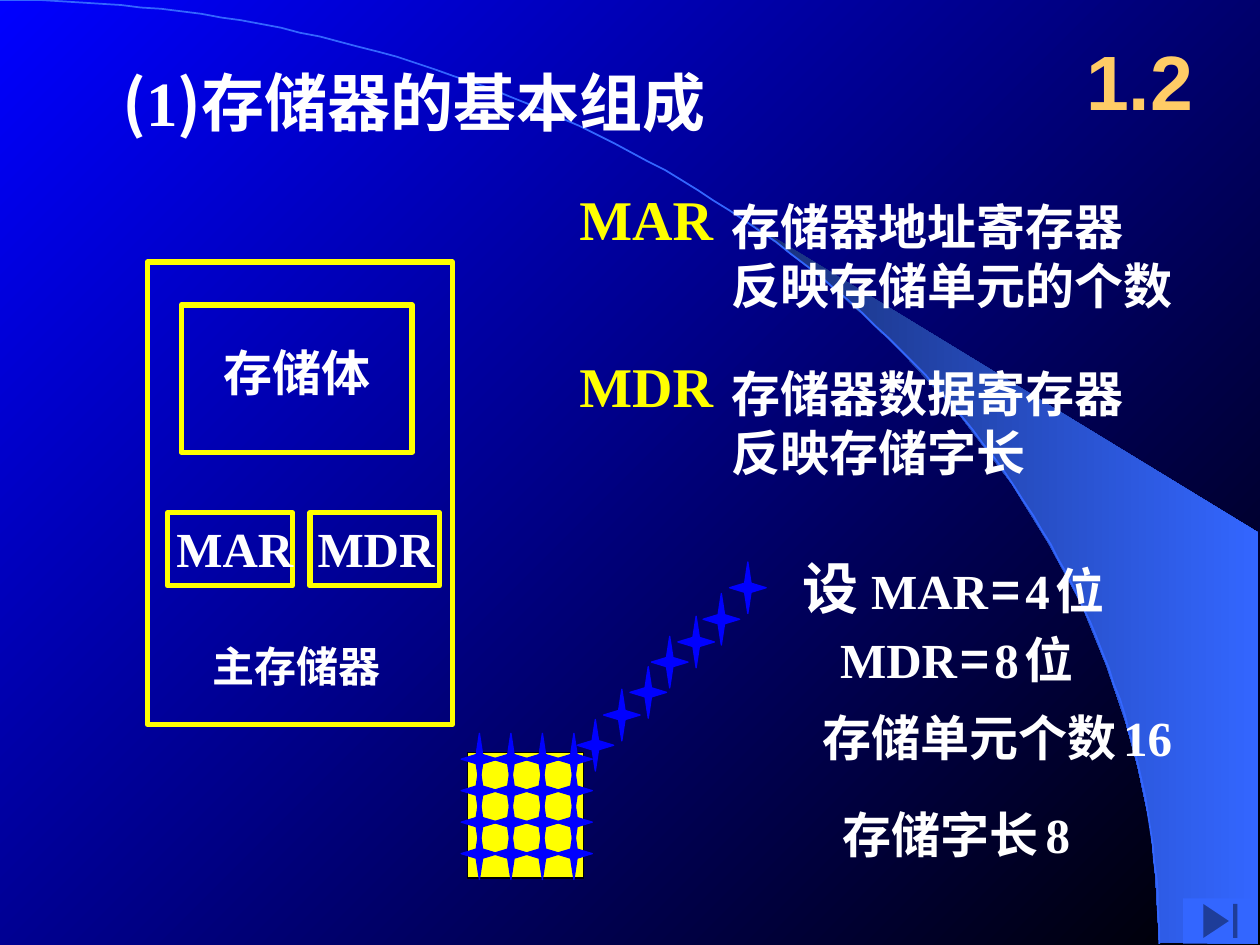
from math import cos, pi, sin

from lxml import etree
from pptx import Presentation
from pptx.dml.color import RGBColor
from pptx.enum import shapes, text
from pptx.oxml import ns
from pptx.util import Emu, Pt

PX = 9144
BLUE = RGBColor(0x00, 0x00, 0xFF)
BLACK = RGBColor(0x00, 0x00, 0x00)
NAVY = RGBColor(0x18, 0x2F, 0x76)
AZURE = RGBColor(0x33, 0x66, 0xFF)
YELLOW = RGBColor(0xFF, 0xFF, 0x00)
AMBER = RGBColor(0xFF, 0xCC, 0x66)
WHITE = RGBColor(0xFF, 0xFF, 0xFF)
HAN = "Noto Sans CJK SC"
ROMAN = "Times New Roman"
KIND = shapes.MSO_SHAPE


def px(*lengths):
    """Turn whole px lengths into EMU."""
    return [Emu(length * PX) for length in lengths]


def set_gradient(fill, start, end, angle):
    """Apply a two-colour linear gradient."""
    fill.gradient()
    fill.gradient_angle = angle
    for stop, color in zip(fill.gradient_stops, (start, end)):
        stop.color.rgb = color


def add_runs(paragraph, runs, color):
    """Add bold runs given as (wording, size, font)."""
    for wording, size, face in runs:
        run = paragraph.add_run()
        run.text = wording
        font = run.font
        font.size, font.bold, font.name = Pt(size), True, face
        font.color.rgb = color
        etree.SubElement(run._r.get_or_add_rPr(), ns.qn("a:ea"), typeface=face)


def fill_frame(frame, lines, color, align, inset=10, gap=0):
    """Write lines of runs into a vertically centred frame."""
    frame.word_wrap = True
    frame.auto_size = text.MSO_AUTO_SIZE.NONE
    frame.vertical_anchor = text.MSO_ANCHOR.MIDDLE
    frame.margin_left = frame.margin_right = Emu(inset * PX)
    frame.margin_top = frame.margin_bottom = 0
    for number, runs in enumerate(lines):
        paragraph = frame.add_paragraph() if number else frame.paragraphs[0]
        paragraph.alignment = align
        if number:
            paragraph.space_before = Pt(gap)
        add_runs(paragraph, runs, color)


def add_label(slide, box, lines, color=WHITE, align=text.PP_ALIGN.LEFT, inset=10, gap=0):
    """Add a text box and return its frame."""
    frame = slide.shapes.add_textbox(*px(*box)).text_frame
    fill_frame(frame, lines, color, align, inset, gap)
    return frame


def add_block(slide, kind, box, fill=None, line=None, width=0.75):
    """Add a preset shape without shadow."""
    block = slide.shapes.add_shape(kind, *px(*box))
    block.shadow.inherit = False
    if fill is None:
        block.fill.background()
    else:
        block.fill.solid()
        block.fill.fore_color.rgb = fill
    if line is None:
        block.line.fill.background()
    else:
        block.line.color.rgb = line
        block.line.width = Pt(width)


def add_outline(slide, points, close):
    """Add a freeform through px points."""
    builder = slide.shapes.build_freeform(*points[0], scale=PX)
    builder.add_line_segments(points[1:], close=close)
    outline = builder.convert_to_shape()
    outline.shadow.inherit = False
    return outline


def add_backdrop(slide, width, height):
    """Paint the background, the light beam and the arc."""
    set_gradient(slide.background.fill, BLUE, BLACK, 315)
    beam_points = [
        (920, 748), (999, 749), (999, 423), (589, 173), (624, 199), (653, 222),
        (685, 250), (716, 280), (762, 330), (803, 384), (832, 431), (858, 479),
        (878, 528), (893, 572), (903, 609), (913, 656), (917, 696),
    ]
    beam = add_outline(slide, beam_points, True)
    set_gradient(beam.fill, NAVY, AZURE, 0)
    beam.line.fill.background()
    steps = 90
    angles = [step * pi / 2 / steps for step in range(steps + 1)]
    arc_points = [(width * sin(a), height * (1 - cos(a))) for a in angles]
    arc = add_outline(slide, arc_points, False)
    arc.fill.background()
    arc.line.color.rgb = AZURE
    arc.line.width = Pt(1)


def add_heading(slide, box):
    """Place the title above the backdrop."""
    title = slide.shapes.title
    title.left, title.top, title.width, title.height = px(*box)
    runs = [("(", 36, HAN), ("1", 36, ROMAN), (")存储器的基本组成", 36, HAN)]
    fill_frame(title.text_frame, [runs], WHITE, text.PP_ALIGN.LEFT)
    slide.shapes._spTree.append(title._element)


def add_memory(slide, left, top):
    """Draw the main memory with its array and two registers."""
    for x, y, w, h in [(0, 0, 242, 367), (27, 34, 183, 117),
                       (16, 199, 99, 58), (129, 199, 103, 58)]:
        add_block(slide, KIND.RECTANGLE, (left + x, top + y, w, h), line=YELLOW, width=3)
    for register, x in (("MAR", 23), ("MDR", 135)):
        add_label(slide, (left + x, top + 198, 105, 57), [[(register, 28, ROMAN)]], inset=0)
    for wording, size, y, h in (("存储体", 28, 59, 57), ("主存储器", 24, 300, 40)):
        add_label(slide, (left + 27, top + y, 183, h), [[(wording, size, HAN)]],
                  align=text.PP_ALIGN.CENTER, inset=0)


def add_definition(slide, left, top, register, meanings):
    """Name a register and explain it in two lines."""
    add_label(slide, (left, top - 1, 152, 64), [[(register, 32, ROMAN)]], YELLOW)
    add_label(slide, (left + 121, top + 4, 380, 113),
              [[(meaning, 28, HAN)] for meaning in meanings])


def add_stars(slide, left, top):
    """Draw the yellow cell grid and the rising trail of stars."""
    add_block(slide, KIND.RECTANGLE, (left + 5, top + 15, 92, 100), YELLOW, BLACK)
    grid = [(25 * column, 25 * row) for row in range(4) for column in range(4)]
    trail = [(92, -11), (113, -35), (134, -53), (151, -77),
             (172, -93), (192, -111), (213, -136)]
    for x, y in grid + trail:
        add_block(slide, KIND.STAR_4_POINT, (left + x, top + y, 29, 41), BLUE, BLUE)


def bit_width(register, bits):
    """Return the runs of a register width equation."""
    return [(register, 28, ROMAN), (" ", 9, HAN), ("=", 28, HAN), (" ", 12, HAN),
            (bits, 28, ROMAN), (" ", 14, ROMAN), ("位", 28, HAN)]


def add_example(slide, left, top):
    """Write the assumed widths and the resulting sizes."""
    widths = [[("设 ", 32, HAN)] + bit_width("MAR", "4"), bit_width("MDR", "8")]
    frame = add_label(slide, (left, top, 370, 127), widths, gap=5)
    frame.paragraphs[1]._p.get_or_add_pPr().set("marL", str(30 * PX))
    for wording, value, x, y in (("存储单元个数", "16", 16, 127), ("存储字长", "8", 32, 204)):
        runs = [(wording, 28, HAN), (" ", 18, HAN), (value, 28, ROMAN)]
        add_label(slide, (left + x, top + y, 330, 57), [runs])


def main():
    """Build and save the slide."""
    deck = Presentation()
    deck.slide_width, deck.slide_height = px(1000, 750)
    slide = deck.slides.add_slide(deck.slide_layouts[5])
    add_backdrop(slide, 920, 749)
    add_heading(slide, (87, 45, 641, 70))
    add_label(slide, (842, 17, 125, 92), [[("1.2", 44, "Arial")]], AMBER,
              text.PP_ALIGN.CENTER)
    add_memory(slide, 117, 208)
    add_definition(slide, 450, 142, "MAR", ("存储器地址寄存器", "反映存储单元的个数"))
    add_definition(slide, 450, 275, "MDR", ("存储器数据寄存器", "反映存储字长"))
    add_stars(slide, 366, 582)
    add_example(slide, 627, 429)
    add_block(slide, KIND.ACTION_BUTTON_END, (939, 713, 59, 36), AZURE)
    deck.save("out.pptx")


if __name__ == "__main__":
    main()
